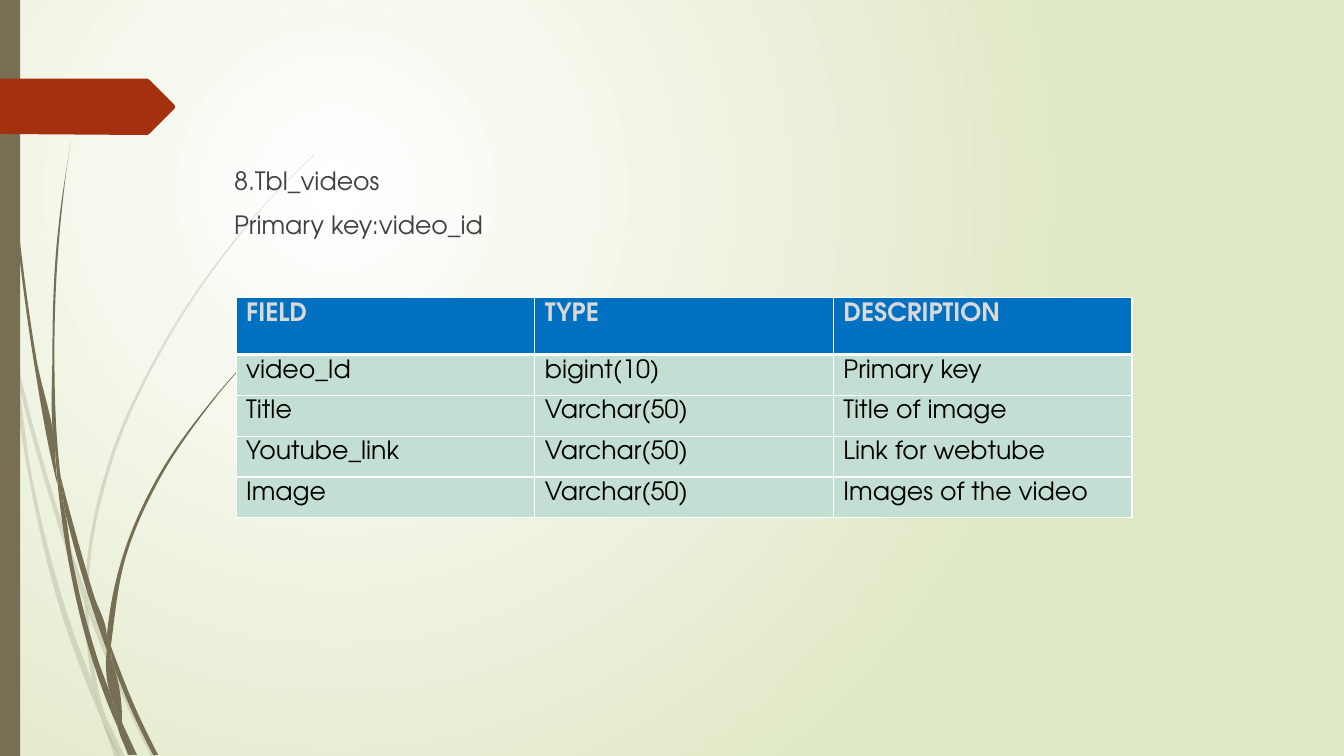
from math import dist

from lxml.etree import SubElement
from pptx import Presentation
from pptx.dml.color import RGBColor
from pptx.enum.shapes import MSO_SHAPE
from pptx.oxml import parse_xml
from pptx.oxml.ns import nsdecls, qn
from pptx.util import Cm, Pt

FONT = "TeX Gyre Adventor"
OLIVE, RED, WHITE = "766F54", "A53010", "FFFFFF"
HUNDREDTH_INCH = Cm(0.0254)

PALE_BLADES = [
    "11,350 9,322 0,282 | 0,299 10,344 11,350",
    "17,376 58,522 84,599 | 85,586 62,520 14,345",
    "155,751 127,692 92,607 88,596 | 88,610 123,694 150,751",
    "119,751 124,751 | 105,711",
    "11,350 28,470 65,621 92,693 101,714 | 99,707 93,683 70,619 31,469 17,376 11,350",
    "84,599 87,646 93,683 96,692 105,711 | 103,706 91,646 88,610 88,608 84,599",
    "312,153 289,175 268,197 228,244 158,348 107,461 85,584 85,586 | "
    "88,596 88,584 110,462 160,349 229,245 268,198 290,175 312,154",
    "101,714 114,751 | 119,751 101,714",
    "88,608 88,610 | 88,596 85,586 | 84,599",
    "93,683 99,707 101,714 119,751 | 105,711 96,692 93,683",
]
DARK_BLADES = [
    "3,0 4,48 7,110 17,233 33,355 56,477 57,481 | "
    "55,457 55,453 36,355 19,232 8,109 5,48 4,0",
    "64,505 88,592 106,645 | 106,633 106,631 93,590 60,472",
    "157,749 136,706 113,649 110,641 | 111,656 132,708 152,749",
    "57,477 68,557 93,659 111,708 117,722 | 116,717 110,691 98,657 72,556 64,505 57,477",
    "60,472 58,453 54,349 58,245 63,193 70,141 | 62,193 56,245 52,349 55,449 60,472",
    "133,749 136,749 | 122,719",
    "57,477 64,505 | 60,472 55,449 | 55,453 57,477",
    "260,344 245,358 231,373 204,405 156,474 122,551 106,631 | "
    "110,641 111,633 125,552 158,476 205,406 231,374 245,359 261,344",
    "117,722 127,749 | 131,749 117,722",
    "106,645 110,691 116,706 122,719 | 121,716 111,656 109,651 106,645",
    "106,645 109,651 111,656 | 110,641 106,631 | 106,633",
    "110,691 116,717 117,722 130,749 | 133,749 122,719 116,706 110,691",
]
RIBBON = "0,78 146,78 | 148,79 173,104 | 174,106 173,108 | 148,133 146,134 | 0,133"

FIELDS = [
    ("FIELD", "TYPE", "DESCRIPTION"),
    ("video_Id", "bigint(10)", "Primary key"),
    ("Title", "Varchar(50)", "Title of image"),
    ("Youtube_link", "Varchar(50)", "Link for webtube"),
    ("Image", "Varchar(50)", "Images of the video"),
]


def color(value):
    return RGBColor.from_string(value)


def read_edge(edge):
    return [tuple(int(number) * HUNDREDTH_INCH for number in pair.split(","))
            for pair in edge.split()]


def edge_controls(points):
    if len(points) < 3:
        return [None] * (len(points) - 1)
    lengths = [dist(start, end) for start, end in zip(points, points[1:])]
    slopes = [((end[0] - start[0]) / length, (end[1] - start[1]) / length)
              for start, end, length in zip(points, points[1:], lengths)]
    tangents = [
        tuple((a * after + b * before) / (before + after) for a, b in zip(first, second))
        for first, second, before, after in zip(slopes, slopes[1:], lengths, lengths[1:])]
    head = tuple(2 * a - b for a, b in zip(slopes[0], tangents[0]))
    tail = tuple(2 * a - b for a, b in zip(slopes[-1], tangents[-1]))
    tangents = [head, *tangents, tail]
    return [
        (tuple(p + m * length / 3 for p, m in zip(points[i], tangents[i])),
         tuple(p - m * length / 3 for p, m in zip(points[i + 1], tangents[i + 1])))
        for i, length in enumerate(lengths)]


class SlideBuilder:
    def __init__(self, slide, font=FONT, size=18):
        self.slide, self.font, self.size = slide, font, size

    def background(self, center, edge):
        fill = self.slide.background.fill
        fill.gradient()
        for stop, value in zip(fill.gradient_stops, (center, edge)):
            stop.color.rgb = color(value)
        linear = next(self.slide._element.iter(qn("a:lin")))
        linear.getparent().replace(linear, parse_xml(
            f'<a:path {nsdecls("a")} path="circle"><a:fillToRect l="50000" t="50000" '
            'r="100000" b="100000"/></a:path>'))

    def paint(self, shape, fill):
        shape.shadow.inherit = False
        shape.fill.solid()
        shape.fill.fore_color.rgb = color(fill)
        shape.line.fill.background()

    def outline(self, shapes, edges, fill, opacity=100):
        points, controls = [], []
        for edge in map(read_edge, edges.split("|")):
            controls += [None] * bool(points) + edge_controls(edge)
            points += edge
        builder = shapes.build_freeform(*points[0])
        builder.add_line_segments(points[1:], close=True)
        shape = builder.convert_to_shape()
        self.bend(shape, controls)
        self.paint(shape, fill)
        if opacity < 100:
            fill_color = next(shape._element.spPr.iter(qn("a:srgbClr")))
            SubElement(fill_color, qn("a:alpha"), val=str(opacity * 1000))

    def bend(self, shape, controls):
        segments = list(shape._element.iter(qn("a:lnTo")))
        for segment, pair in zip(segments, controls):
            if pair:
                segment.tag = qn("a:cubicBezTo")
                for index, (x, y) in enumerate(pair):
                    segment.insert(index, parse_xml(
                        f'<a:pt {nsdecls("a")} x="{round(x - shape.left)}" '
                        f'y="{round(y - shape.top)}"/>'))

    def blades(self, outlines, opacity=100):
        group = self.slide.shapes.add_group_shape()
        for edges in outlines:
            self.outline(group.shapes, edges, OLIVE, opacity)

    def bar(self, left, top, width, height, fill):
        shape = self.slide.shapes.add_shape(
            MSO_SHAPE.RECTANGLE, Cm(left), Cm(top), Cm(width), Cm(height))
        self.paint(shape, fill)

    def style(self, paragraph, value, bold=False):
        for run in paragraph.runs:
            run.font.name, run.font.size, run.font.bold = self.font, Pt(self.size), bold
            run.font.color.rgb = color(value)

    def text(self, left, top, width, height, lines, value):
        frame = self.slide.shapes.add_textbox(
            Cm(left), Cm(top), Cm(width), Cm(height)).text_frame
        frame.word_wrap = True
        frame.text = "\n".join(lines)
        for index, paragraph in enumerate(frame.paragraphs):
            paragraph.space_before = Pt(10 if index else 0)
            self.style(paragraph, value)

    def borders(self, cell, top, bottom):
        properties = cell._tc.get_or_add_tcPr()
        for index, (side, width) in enumerate(
                (("L", 1), ("R", 1), ("T", top), ("B", bottom))):
            properties.insert(index, parse_xml(
                f'<a:ln{side} {nsdecls("a")} w="{Pt(width)}"><a:solidFill>'
                f'<a:srgbClr val="{WHITE}"/></a:solidFill></a:ln{side}>'))

    def table(self, left, top, width, rows, header_height, row_height):
        height = header_height + row_height * (len(rows) - 1)
        table = self.slide.shapes.add_table(
            len(rows), len(rows[0]), Cm(left), Cm(top), Cm(width), Cm(height)).table
        table.first_row = table.horz_banding = False
        for row_index, values in enumerate(rows):
            header = row_index == 0
            table.rows[row_index].height = Cm(header_height if header else row_height)
            for cell, value in zip(table.rows[row_index].cells, values):
                cell.text = value
                cell.fill.solid()
                cell.fill.fore_color.rgb = color("0070C0" if header else "C3DED3")
                self.style(cell.text_frame.paragraphs[0],
                           "D9D9D9" if header else "000000", header)
                self.borders(cell, 3 if row_index == 1 else 1, 3 if header else 1)


def main():
    presentation = Presentation()
    presentation.slide_width, presentation.slide_height = Cm(33.87), Cm(19.05)
    slide = presentation.slides.add_slide(presentation.slide_layouts[6])
    builder = SlideBuilder(slide)
    builder.background(WHITE, "DFE8C4")
    builder.blades(PALE_BLADES, opacity=20)
    builder.blades(DARK_BLADES)
    builder.bar(0, 0, 0.51, 19.05, OLIVE)
    builder.outline(slide.shapes, RIBBON, RED)
    builder.text(5.65, 4.04, 25.93, 12.65,
                 ["8.Tbl_videos", "Primary key:video_id"], "404040")
    builder.table(5.95, 7.5, 22.58, FIELDS, 1.43, 1.03)
    presentation.save("out.pptx")


if __name__ == "__main__":
    main()
